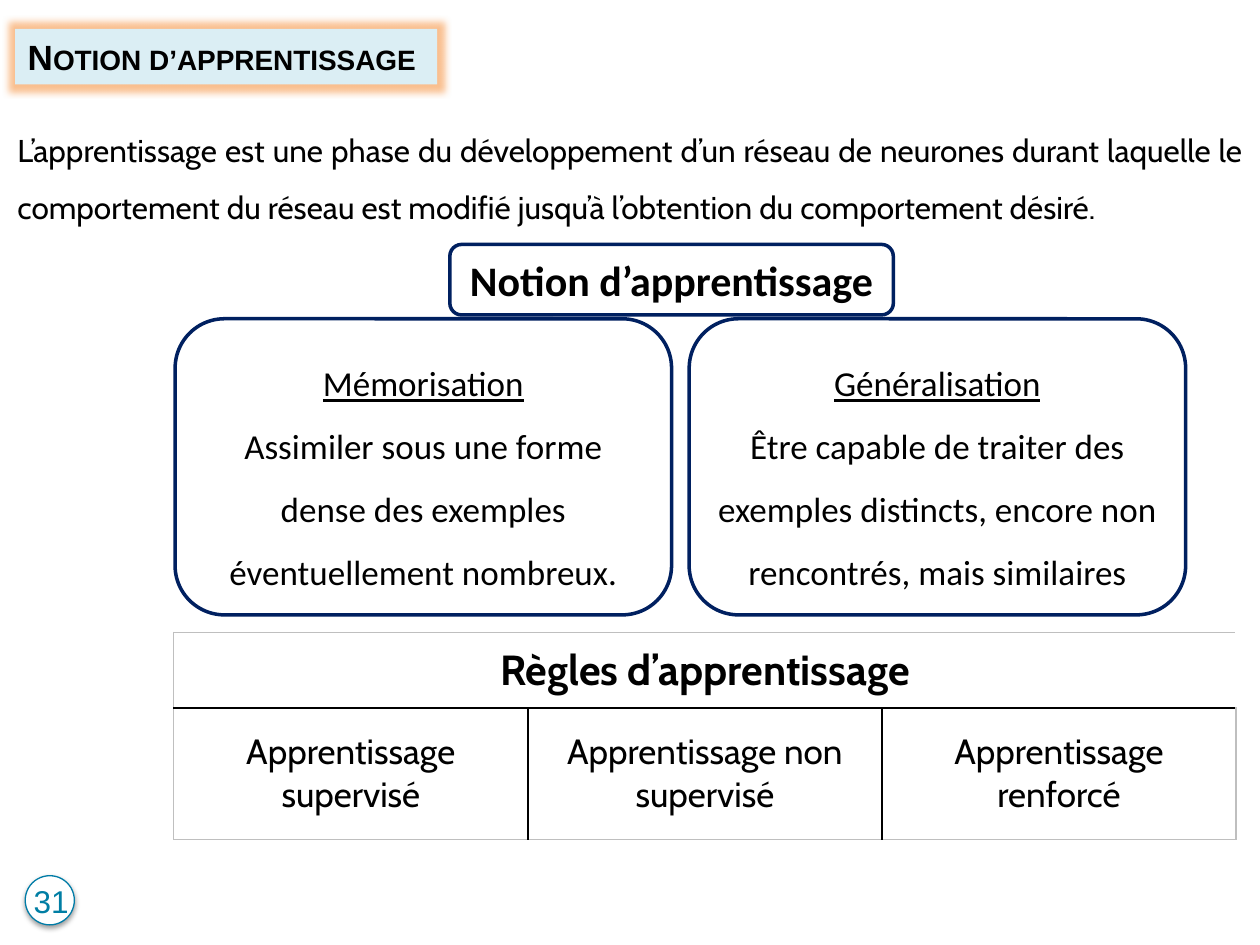
from lxml.etree import SubElement
from pptx import Presentation
from pptx.dml.color import RGBColor
from pptx.enum.shapes import MSO_SHAPE
from pptx.enum.text import MSO_ANCHOR, PP_ALIGN
from pptx.oxml import parse_xml
from pptx.oxml.ns import qn
from pptx.util import Inches, Pt

DRAWING_NS = 'xmlns:a="http://schemas.openxmlformats.org/drawingml/2006/main"'
NAVY, BLACK, WHITE, GREY = "002060", "000000", "FFFFFF", "BFBFBF"
CARDS = [
    ("Mémorisation", "Assimiler sous une forme dense des exemples éventuellement nombreux."),
    ("Généralisation", "Être capable de traiter des exemples distincts, encore non rencontrés, mais similaires"),
]
RULES = ["Apprentissage supervisé", "Apprentissage non supervisé", "Apprentissage renforcé"]


def color(value):
    """Return the colour for a hex string."""
    return RGBColor.from_string(value)


def inches(box):
    """Convert left, top, width and height to lengths."""
    return [Inches(length) for length in box]


def write(paragraph, text, size, font, align=PP_ALIGN.CENTER, spacing=1.0,
          bold=False, underline=False, ink=BLACK):
    """Add one formatted run to a paragraph and return it."""
    paragraph.alignment = align
    paragraph.line_spacing = spacing
    run = paragraph.add_run()
    run.text = text
    run.font.size = Pt(size)
    run.font.name = font
    run.font.bold = bold
    run.font.underline = underline
    run.font.color.rgb = color(ink)
    return run


def add_effect(shape, effect):
    """Give a shape one visual effect."""
    shape._element.spPr.append(parse_xml(f"<a:effectLst {DRAWING_NS}>{effect}</a:effectLst>"))


def add_heading(slide, box):
    """Format the title placeholder as a glowing banner."""
    heading = slide.shapes.title
    heading.left, heading.top, heading.width, heading.height = inches(box)
    heading.fill.solid()
    heading.fill.fore_color.rgb = color("DBEEF4")
    add_effect(heading, '<a:glow rad="101600"><a:srgbClr val="F79646">'
                        '<a:alpha val="60000"/></a:srgbClr></a:glow>')
    frame = heading.text_frame
    frame.word_wrap = False
    frame.vertical_anchor = MSO_ANCHOR.MIDDLE
    run = write(frame.paragraphs[0], "Notion d’apprentissage", 20, "Arial", PP_ALIGN.LEFT, bold=True)
    run.font._element.set("cap", "small")


def add_text(slide, box, text, font, wrap=True, **style):
    """Add an 18 point text box."""
    frame = slide.shapes.add_textbox(*inches(box)).text_frame
    frame.word_wrap = wrap
    write(frame.paragraphs[0], text, 18, font, **style)


def add_frame(slide, box):
    """Add an outlined rounded rectangle and return its text frame."""
    outline = slide.shapes.add_shape(MSO_SHAPE.ROUNDED_RECTANGLE, *inches(box))
    outline.shadow.inherit = False
    outline.fill.background()
    outline.line.color.rgb = color(NAVY)
    outline.line.width = Pt(2)
    outline.text_frame.word_wrap = True
    outline.text_frame.vertical_anchor = MSO_ANCHOR.MIDDLE
    return outline.text_frame


def add_notions(slide, box):
    """Draw the central notion above its two cards."""
    left, top, width, height = box
    gap, card_top = 0.14, 0.59
    card_width = (width - gap) / 2
    notion = add_frame(slide, (left + 2.18, top, 3.52, 0.56))
    write(notion.paragraphs[0], "Notion d’apprentissage", 24, "Calibri", bold=True)
    for index, (name, description) in enumerate(CARDS):
        card = add_frame(slide, (left + index * (card_width + gap), top + card_top,
                                 card_width, height - card_top))
        write(card.paragraphs[0], name, 20, "Calibri", spacing=1.5, underline=True)
        write(card.add_paragraph(), description, 20, "Calibri", spacing=1.5)


def add_border(cell, side, ink, width):
    """Draw one side of a table cell."""
    line = SubElement(cell._tc.get_or_add_tcPr(), qn(f"a:ln{side}"), w=str(Pt(width)))
    SubElement(SubElement(line, qn("a:solidFill")), qn("a:srgbClr"), val=ink)


def add_rules(slide, box):
    """Add the table of learning rules."""
    left, top, width, height = box
    last = len(RULES) - 1
    table = slide.shapes.add_table(2, len(RULES), *inches(box)).table
    table.rows[0].height = Inches(0.6)
    table.rows[1].height = Inches(height - 0.6)
    for column in table.columns:
        column.width = Inches(width / len(RULES))
    for row in range(2):
        for column in range(len(RULES)):
            cell = table.cell(row, column)
            outer = {"L": column == 0, "R": column == last, "T": row == 0, "B": row == 1}
            for side, is_outer in outer.items():
                if row == 1 or is_outer or side == "B":
                    add_border(cell, side, GREY if is_outer else BLACK, 0.75 if is_outer else 1)
            cell.fill.background()
            cell.vertical_anchor = MSO_ANCHOR.MIDDLE
    table.cell(0, 0).merge(table.cell(0, last))
    write(table.cell(0, 0).text_frame.paragraphs[0], "Règles d’apprentissage", 24, "Cabin", bold=True)
    for column, rule in enumerate(RULES):
        write(table.cell(1, column).text_frame.paragraphs[0], rule, 20, "Cabin")


def add_page_number(slide, box):
    """Draw the page number over a shadowed disc."""
    left, top, width, height = box
    disc = slide.shapes.add_shape(MSO_SHAPE.OVAL, *inches((left + 0.05, top, 0.39, 0.39)))
    disc.fill.solid()
    disc.fill.fore_color.rgb = color(WHITE)
    disc.line.color.rgb = color("007CA7")
    disc.line.width = Pt(0.75)
    add_effect(disc, f'<a:outerShdw blurRad="{Pt(3.1)}" dist="{Pt(1.6)}" dir="5400000">'
                     f'<a:srgbClr val="{BLACK}"><a:alpha val="38000"/></a:srgbClr></a:outerShdw>')
    add_text(slide, box, "31", "Arial", ink="007EA4")


def main():
    """Build and save the slide."""
    deck = Presentation()
    deck.slide_width, deck.slide_height = Inches(10), Inches(7.5)
    slide = deck.slides.add_slide(deck.slide_layouts[5])
    add_text(slide, (0.04, 0.84, 9.92, 4.04),
             "L’apprentissage est une phase du développement d’un réseau de neurones durant laquelle le "
             "comportement du réseau est modifié jusqu’à l’obtention du comportement désiré.",
             "Cabin", align=PP_ALIGN.JUSTIFY, spacing=1.5)
    add_notions(slide, (1.39, 1.94, 8.02, 2.94))
    add_rules(slide, (1.38, 5.02, 8.43, 1.64))
    add_page_number(slide, (0.15, 6.95, 0.51, 0.4))
    add_heading(slide, (0.12, 0.23, 3.35, 0.44))
    deck.save("out.pptx")


if __name__ == "__main__":
    main()
